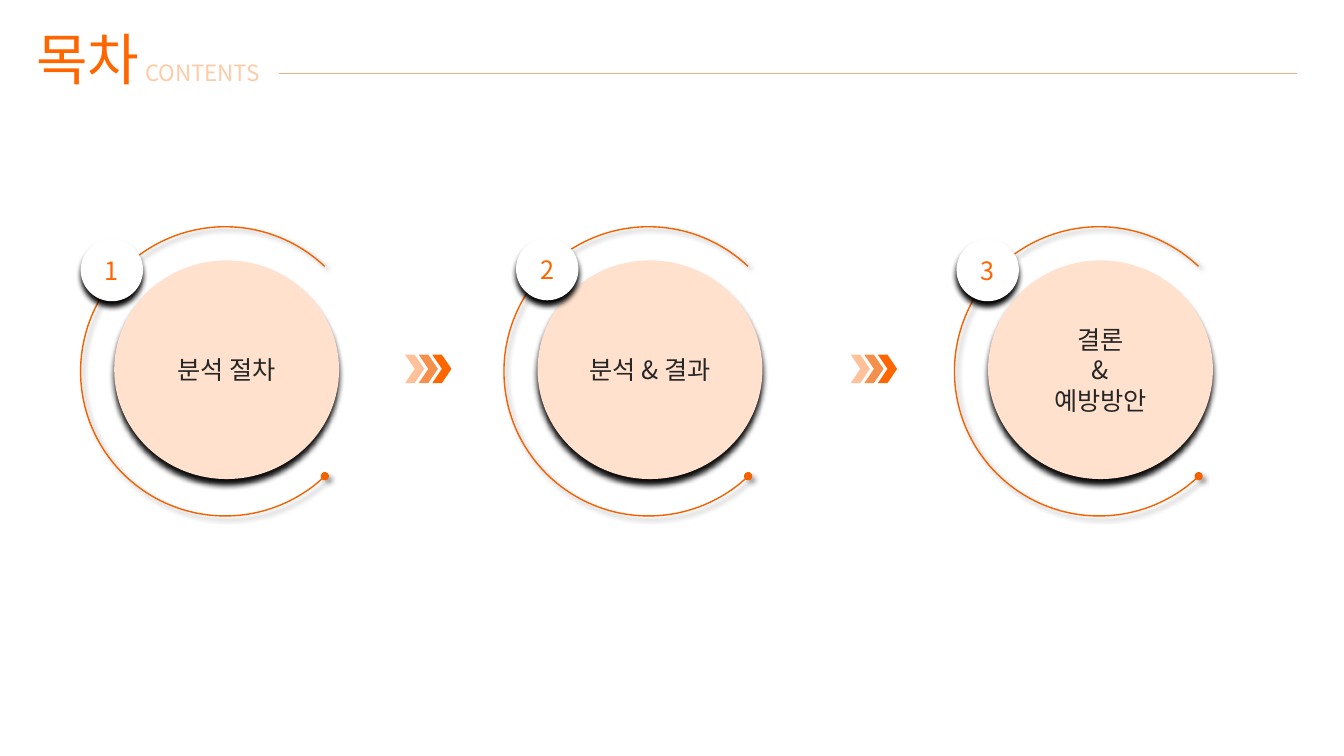
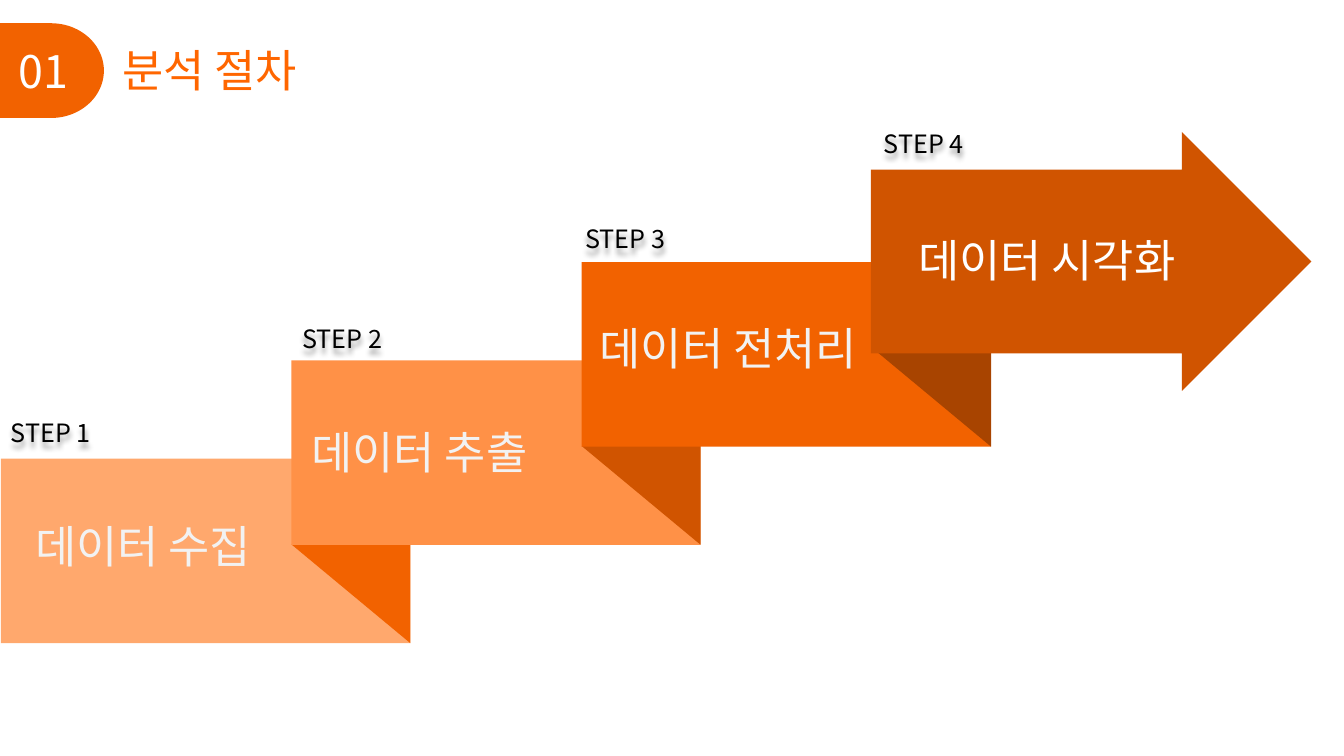
from lxml.etree import SubElement as Sub
from pptx import Presentation
from pptx.dml.color import RGBColor as RGB
from pptx.enum.shapes import MSO_CONNECTOR as Link, MSO_SHAPE as Form
from pptx.enum.text import MSO_ANCHOR as Anchor, MSO_AUTO_SIZE as Auto, PP_ALIGN as Align
from pptx.oxml.ns import qn
from pptx.util import Pt

FONT = "Noto Sans CJK KR"
BRIGHT = RGB(0xFF, 0x66, 0x00)
ORANGE = RGB(0xF2, 0x62, 0x00)
RUST = RGB(0xD0, 0x54, 0x00)
BROWN = RGB(0xA8, 0x44, 0x00)
AMBER = RGB(0xFF, 0x91, 0x47)
PEACH = RGB(0xFF, 0xA8, 0x6D)
CREAM = RGB(0xFF, 0xE1, 0xCD)
SAND = RGB(0xFF, 0xCB, 0xA7)
WHITE = RGB(0xFF, 0xFF, 0xFF)
PALE = RGB(0xF2, 0xF2, 0xF2)
DARK = RGB(0x26, 0x26, 0x26)
BLACK = RGB(0, 0, 0)


def points(*nums):
    return [Pt(num) for num in nums]


def write(frame, lines, size, color, align=Align.LEFT):
    for i, line in enumerate(lines):
        para = frame.paragraphs[0] if i == 0 else frame.add_paragraph()
        para.alignment = align
        run = para.add_run()
        run.text = line
        run.font.size = Pt(size)
        run.font.color.rgb = color
        run.font.name = FONT
        Sub(run._r.get_or_add_rPr(), qn("a:ea"), typeface=FONT)


def fade(fill, share):
    tone = fill._xPr.find(qn("a:solidFill"))[0]
    Sub(tone, qn("a:alpha"), val=str(share * 1000))


def shade(shape, share, blur, dist, angle):
    shape.shadow.inherit = False
    glow = shape._element.spPr.find(qn("a:effectLst"))
    cast = Sub(glow, qn("a:outerShdw"), blurRad=str(Pt(blur)), dist=str(Pt(dist)),
               dir=str(angle * 60000), algn="ctr", rotWithShape="0")
    tone = Sub(cast, qn("a:srgbClr"), val=str(BLACK))
    Sub(tone, qn("a:alpha"), val=str(share * 1000))


def draw(shapes, form, box, fill):
    shape = shapes.add_shape(form, *points(*box))
    shape.shadow.inherit = False
    shape.fill.solid()
    shape.fill.fore_color.rgb = fill
    shape.line.fill.background()
    return shape


def fill_in(shape, lines, size, color):
    shape.text_frame.vertical_anchor = Anchor.MIDDLE
    write(shape.text_frame, lines, size, color, Align.CENTER)


def label(slide, box, text, size, color, wrap=True):
    shape = slide.shapes.add_textbox(*points(*box))
    frame = shape.text_frame
    frame.word_wrap = wrap
    frame.auto_size = Auto.SHAPE_TO_FIT_TEXT
    write(frame, [text], size, color)
    return shape


def head(slide, box, text, size, align):
    title = slide.shapes.title
    title.left, title.top, title.width, title.height = points(*box)
    frame = title.text_frame
    frame.word_wrap = False
    frame.auto_size = Auto.SHAPE_TO_FIT_TEXT
    frame.vertical_anchor = Anchor.TOP
    write(frame, [text], size, BRIGHT, align)


def topic(slide, x, y, num, lines, shift, drop):
    disc = draw(slide.shapes, Form.OVAL, (x + 24, y + 24, 160.6, 156.2), CREAM)
    shade(disc, 94, 4, 4, 90)
    fill_in(disc, lines, 18, DARK)
    ring = slide.shapes.add_shape(Form.ARC, *points(x, y, 206.6, 206.6))
    ring.adjustments[0], ring.adjustments[1] = 27.89, 188.08
    ring.fill.background()
    ring.line.color.rgb = ORANGE
    ring.line.width = Pt(1)
    Sub(ring.line._get_or_add_ln(), qn("a:headEnd"), type="oval")
    shade(ring, 40, 4, 3, 45)
    badge = draw(slide.shapes, Form.OVAL, (x + shift, y + drop, 44.6, 44.6), WHITE)
    shade(badge, 99, 4, 4, 90)
    fill_in(badge, [str(num)], 18, BRIGHT)


def arrows(slide, x, y):
    group = slide.shapes.add_group_shape()
    for i, (tone, share) in enumerate([(BRIGHT, 40), (ORANGE, 70), (BRIGHT, 100)]):
        mark = draw(group.shapes, Form.CHEVRON, (x + i * 9.7, y, 13.7, 20.2), tone)
        if share < 100:
            fade(mark.fill, share)


def contents(slide):
    head(slide, (18.7, 13.7, 92.2, 55.4), "목차", 40, Align.LEFT)
    label(slide, (96.5, 38.9, 101.5, 26.6), "CONTENTS", 16, SAND, False)
    rule = slide.shapes.add_connector(Link.STRAIGHT, *points(199.4, 52.6, 926.6, 52.6))
    rule.line.color.rgb = RUST
    rule.line.width = Pt(0.5)
    fade(rule.line.fill, 70)
    Sub(rule._element.spPr, qn("a:effectLst"))
    topics = [
        (57.6, ["분석 절차"], 0, 8.6),
        (360, ["분석 & 결과"], 8.6, 7.9),
        (681.8, ["결론", "&", "예방방안"], 1.4, 8.6),
    ]
    for num, (x, lines, shift, drop) in enumerate(topics, 1):
        topic(slide, x, 162, num, lines, shift, drop)
    for x in (289.4, 607.7):
        arrows(slide, x, 253.4)


def band(slide, x, y, tone, fold):
    draw(slide.shapes, Form.RECTANGLE, (x, y, 292.3, 131.8), tone)
    flap = draw(slide.shapes, Form.RIGHT_TRIANGLE, (x + 207.4, y + 61.2, 85, 70.6), fold)
    flap.rotation = 180


def process(slide):
    head(slide, (75.6, 26.6, 148.3, 46.1), "분석 절차", 32, Align.CENTER)
    tab = draw(slide.shapes, Form.FLOWCHART_DELAY, (-1.4, 16.6, 75.6, 67.7), ORANGE)
    fill_in(tab, ["01"], 32, WHITE)
    tones = [(PEACH, ORANGE), (AMBER, RUST), (ORANGE, BROWN)]
    for i, (tone, fold) in enumerate(tones):
        band(slide, 0.7 + i * 207.4, 327.6 - i * 70.2, tone, fold)
    arrow = draw(slide.shapes, Form.RIGHT_ARROW, (622.1, 94.3, 314.6, 185), RUST)
    arrow.adjustments[0], arrow.adjustments[1] = 0.71, 0.5
    steps = [
        ("데이터 수집", (18, 367.2, 223.2, 46.1), PALE, (0.7, 294.5)),
        ("데이터 추출", (215.3, 300.2, 240.5, 46.1), PALE, (208.8, 227.5)),
        ("데이터 전처리", (421.2, 225.4, 244.1, 46.1), PALE, (411.1, 156.2)),
        ("데이터 시각화", (648.7, 162.7, 213.8, 46.1), WHITE, (624.2, 87.8)),
    ]
    for num, (name, box, color, spot) in enumerate(steps, 1):
        label(slide, box, name, 32, color)
        note = label(slide, (*spot, 89.3, 28.8), f"STEP {num}", 18, BLACK)
        shade(note, 40, 4, 4, 90)


def main():
    deck = Presentation()
    deck.slide_width, deck.slide_height = points(960, 540)
    for build in (contents, process):
        build(deck.slides.add_slide(deck.slide_layouts[5]))
    deck.save("out.pptx")


if __name__ == "__main__":
    main()
